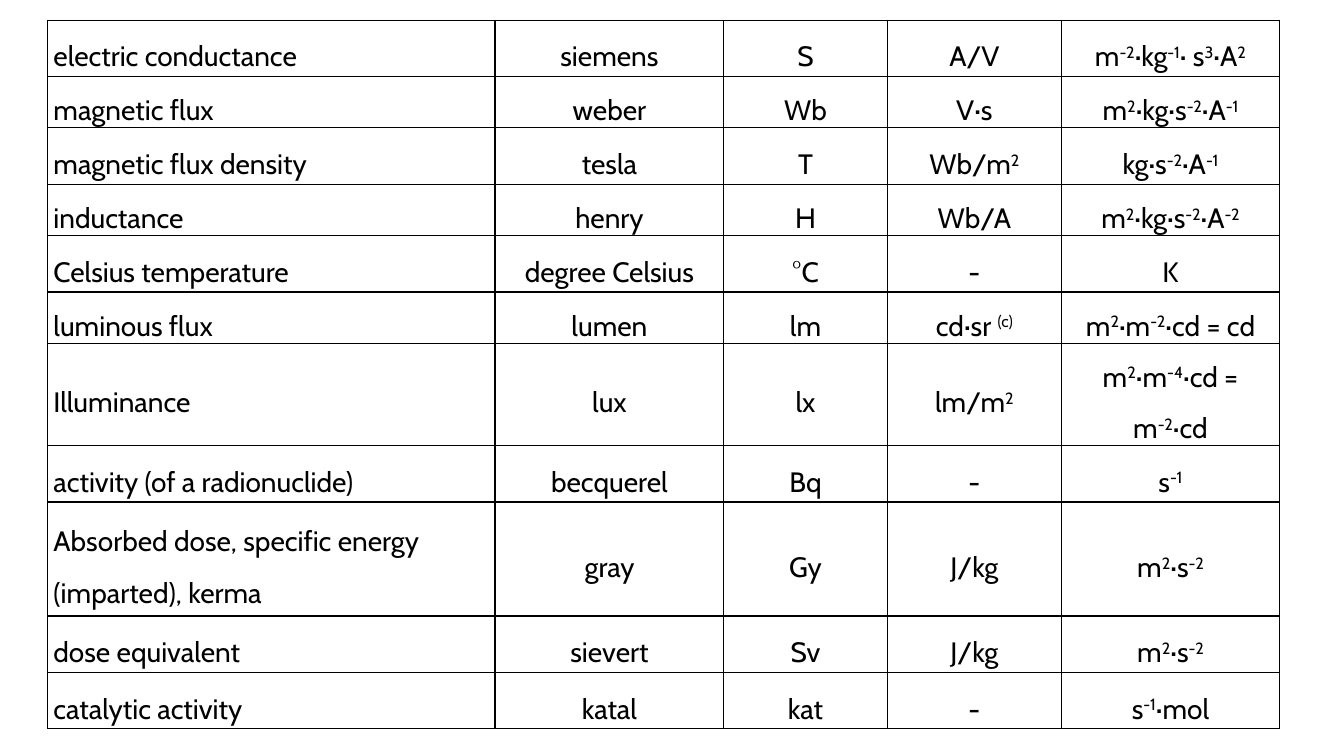
"""Build a slide with a table of derived SI units."""
from lxml.etree import SubElement
from pptx import Presentation
from pptx.dml.color import RGBColor
from pptx.enum.text import MSO_ANCHOR, PP_ALIGN
from pptx.oxml.ns import qn
from pptx.util import Inches, Pt

BLACK = RGBColor(0, 0, 0)
FONT = "Cabin"
SUPERSCRIPT_MARK = "^"
COLUMN_WIDTHS = [4.44, 2.27, 1.62, 1.73, 2.16]
SHORT, NORMAL = 0.47, 0.56

UNITS = [
    (NORMAL, "electric conductance", "siemens", "S", "A/V", "m^-2^·kg^-1^· s^3^·A^2^"),
    (SHORT, "magnetic flux", "weber", "Wb", "V·s", "m^2^·kg·s^-2^·A^-1^"),
    (NORMAL, "magnetic flux density", "tesla", "T", "Wb/m^2^", "kg·s^-2^·A^-1^"),
    (SHORT, "inductance", "henry", "H", "Wb/A", "m^2^·kg·s^-2^·A^-2^"),
    (NORMAL, "Celsius temperature", "degree Celsius", "°C", "-", "K"),
    (SHORT, "luminous flux", "lumen", "lm", "cd·sr ^(c)^", "m^2^·m^-2^·cd = cd"),
    (0.98, "Illuminance", "lux", "lx", "lm/m^2^", "m^2^·m^-4^·cd = m^-2^·cd"),
    (NORMAL, "activity (of a radionuclide)", "becquerel", "Bq", "-", "s^-1^"),
    (1.13, "Absorbed dose, specific energy (imparted), kerma", "gray", "Gy", "J/kg",
     "m^2^·s^-2^"),
    (NORMAL, "dose equivalent", "sievert", "Sv", "J/kg", "m^2^·s^-2^"),
    (NORMAL, "catalytic activity", "katal", "kat", "-", "s^-1^·mol"),
]


def add_borders(cell):
    """Draw a thin line on all four sides of a cell."""
    properties = cell._tc.get_or_add_tcPr()
    for side in ("a:lnL", "a:lnR", "a:lnT", "a:lnB"):
        line = SubElement(properties, qn(side), w=str(Pt(1)))
        fill = SubElement(line, qn("a:solidFill"))
        SubElement(fill, qn("a:srgbClr"), val=str(BLACK))


def write_cell(cell, text, alignment):
    """Format a cell and write its text with marked superscripts."""
    cell.vertical_anchor = MSO_ANCHOR.MIDDLE
    cell.margin_left = cell.margin_right = Inches(0.06)
    cell.margin_top = cell.margin_bottom = 0
    add_borders(cell)
    cell.fill.background()
    paragraph = cell.text_frame.paragraphs[0]
    paragraph.alignment = alignment
    paragraph.line_spacing = 1.5
    for index, part in enumerate(text.split(SUPERSCRIPT_MARK)):
        if not part:
            continue
        run = paragraph.add_run()
        run.text = part
        run.font.name = FONT
        run.font.size = Pt(20)
        run.font.color.rgb = BLACK
        if index % 2:
            run.font._element.set("baseline", "30000")


def main():
    """Create and save the presentation."""
    presentation = Presentation()
    presentation.slide_width = Inches(13.33)
    presentation.slide_height = Inches(7.5)
    slide = presentation.slides.add_slide(presentation.slide_layouts[6])
    shape = slide.shapes.add_table(
        len(UNITS), len(COLUMN_WIDTHS),
        Inches(0.47), Inches(0.2), Inches(12.22), Inches(6.9))
    table = shape.table
    table.first_row = table.horz_banding = False
    for column, width in zip(table.columns, COLUMN_WIDTHS):
        column.width = Inches(width)
    for row, (height, *texts) in zip(table.rows, UNITS):
        row.height = Inches(height)
        for index, (cell, text) in enumerate(zip(row.cells, texts)):
            write_cell(cell, text, PP_ALIGN.CENTER if index else PP_ALIGN.LEFT)
    presentation.save("out.pptx")


if __name__ == "__main__":
    main()
